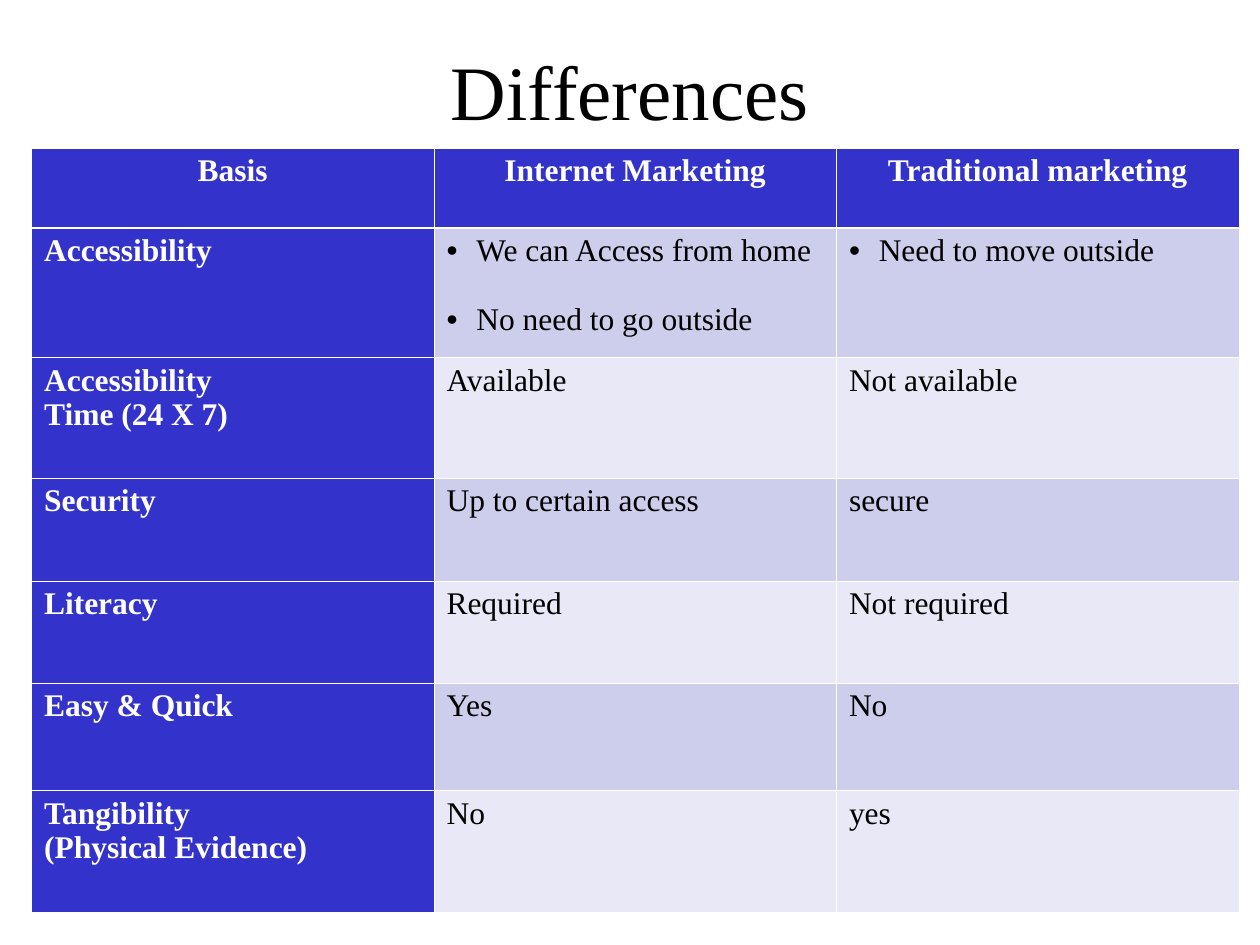
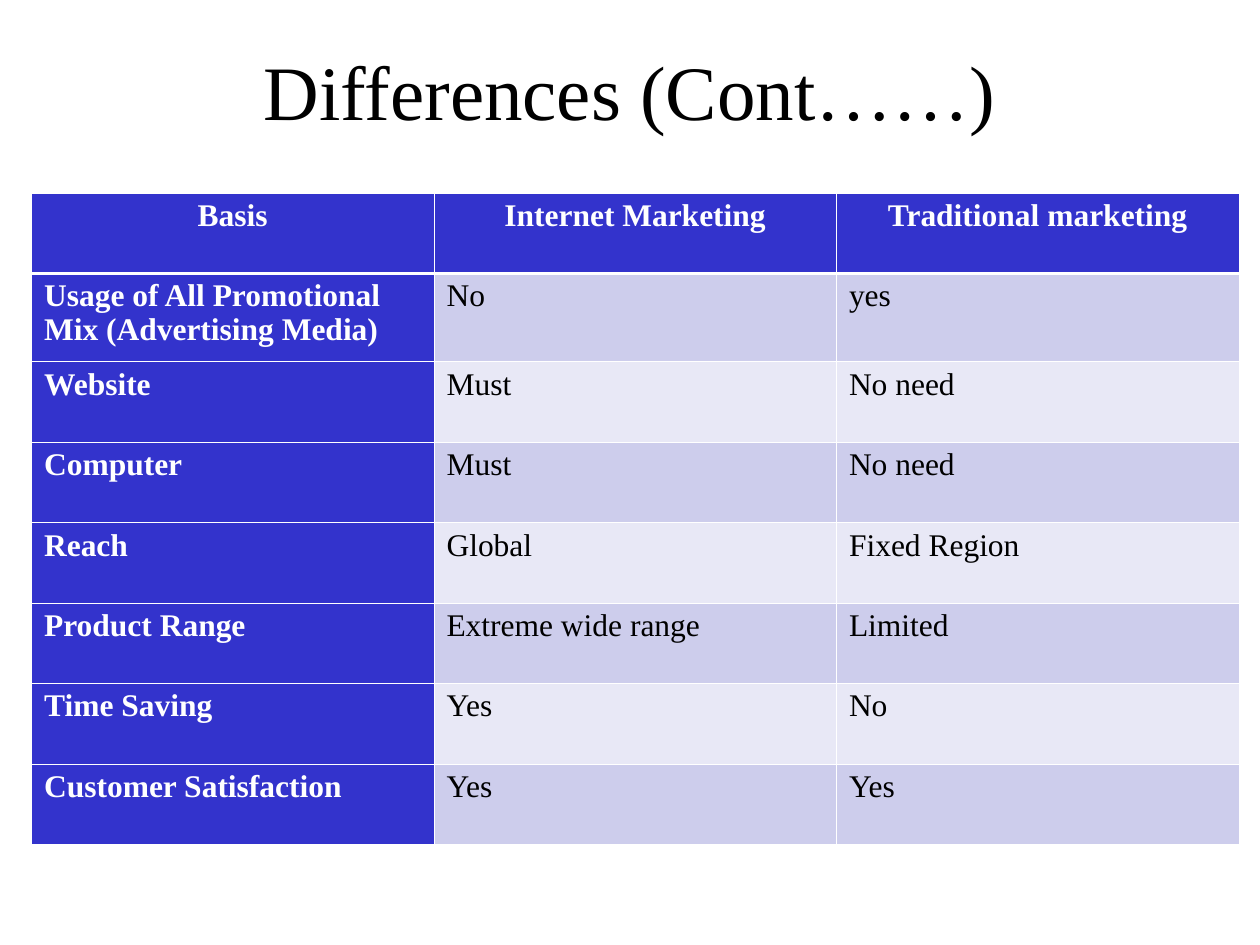
from lxml.etree import SubElement
from pptx import Presentation
from pptx.dml.color import RGBColor
from pptx.enum.text import MSO_ANCHOR as Anchor, MSO_AUTO_SIZE as AutoSize, PP_ALIGN as Align
from pptx.oxml.ns import qn
from pptx.util import Pt

# Shared style
FONT = "Times New Roman"
BLACK, WHITE, BLUE = "000000", "FFFFFF", "3333CC"
BANDS = ("CDCDEC", "E8E8F6")
THIN, THICK = 0.45, 1.47
TITLE_ONLY = 5
HEADINGS = ("Basis", "Internet Marketing", "Traditional marketing")

# Table contents: a tuple in a cell is a bulleted list
BASIC_ROWS = [
    ("Accessibility", ("We can Access from home", "No need to go outside"), ("Need to move outside",)),
    ("Accessibility\nTime (24 X 7)", "Available", "Not available"),
    ("Security", "Up to certain access", "secure"),
    ("Literacy", "Required", "Not required"),
    ("Easy & Quick", "Yes", "No"),
    ("Tangibility\n(Physical Evidence)", "No", "yes"),
]
FURTHER_ROWS = [
    ("Usage of All Promotional Mix (Advertising Media)", "No", "yes"),
    ("Website", "Must", "No need"),
    ("Computer", "Must", "No need"),
    ("Reach", "Global", "Fixed Region"),
    ("Product Range", "Extreme wide range", "Limited"),
    ("Time Saving", "Yes", "No"),
    ("Customer Satisfaction", "Yes", "Yes"),
]


def color(hex_value):
    return RGBColor.from_string(hex_value)


def apply(target, values):
    for name, value in values.items():
        setattr(target, name, value)


class Deck:
    """Holds the presentation style and the current slide."""

    def __init__(self):
        self.presentation = Presentation()
        apply(self.presentation, {"slide_width": Pt(720), "slide_height": Pt(540)})
        self.slide = None

    def add_slide(self, title):
        layout = self.presentation.slide_layouts[TITLE_ONLY]
        self.slide = self.presentation.slides.add_slide(layout)
        shape = self.slide.shapes.title
        apply(shape, {"left": Pt(54), "top": Pt(18), "width": Pt(612), "height": Pt(66)})
        apply(shape.text_frame, {"auto_size": AutoSize.NONE, "vertical_anchor": Anchor.MIDDLE, "word_wrap": True})
        paragraph = shape.text_frame.paragraphs[0]
        paragraph.alignment = Align.CENTER
        self.add_run(paragraph, title, BLACK, 44)

    def add_run(self, paragraph, text, text_color, size=18, bold=False):
        run = paragraph.add_run()
        run.text = text
        apply(run.font, {"name": FONT, "size": Pt(size), "bold": bold})
        run.font.color.rgb = color(text_color)

    def add_bullet(self, paragraph):
        properties = paragraph._p.get_or_add_pPr()
        properties.set("marL", str(Pt(17)))
        properties.set("indent", str(-Pt(17)))
        bullet_color = SubElement(properties, qn("a:buClr"))
        SubElement(bullet_color, qn("a:srgbClr"), val=BLACK)
        SubElement(properties, qn("a:buFont"), typeface="Arial")
        SubElement(properties, qn("a:buChar"), char="•")

    def add_borders(self, cell, top, bottom):
        properties = cell._tc.get_or_add_tcPr()
        for side, width in (("L", THIN), ("R", THIN), ("T", top), ("B", bottom)):
            line = SubElement(properties, qn(f"a:ln{side}"), w=str(Pt(width)))
            fill = SubElement(line, qn("a:solidFill"))
            SubElement(fill, qn("a:srgbClr"), val=WHITE)

    def fill_cell(self, cell, content, row, column):
        is_header = row == 0
        is_label = is_header or column == 0
        self.add_borders(cell, THICK if row == 1 else THIN, THICK if is_header else THIN)
        apply(cell, {"margin_left": Pt(7.2), "margin_right": Pt(7.2), "margin_top": Pt(3.6),
                     "margin_bottom": Pt(3.6), "vertical_anchor": Anchor.TOP})
        cell.fill.solid()
        cell.fill.fore_color.rgb = color(BLUE if is_label else BANDS[(row - 1) % 2])

        is_list = isinstance(content, tuple)
        lines = content if is_list else content.split("\n")
        for index, text in enumerate(lines):
            paragraph = cell.text_frame.add_paragraph() if index else cell.text_frame.paragraphs[0]
            apply(paragraph, {"alignment": Align.CENTER if is_header else Align.LEFT, "line_spacing": 0.97})
            if is_list:
                if index:
                    paragraph.space_before = Pt(20)
                self.add_bullet(paragraph)
            self.add_run(paragraph, text, WHITE if is_label else BLACK, bold=is_label)

    def add_table(self, top, rows, heights):
        contents = [HEADINGS, *rows]
        frame = self.slide.shapes.add_table(
            len(contents), len(HEADINGS), Pt(18), Pt(top), Pt(690), Pt(sum(heights)))
        table = frame.table
        apply(table, {"first_row": False, "horz_banding": False})
        for column in table.columns:
            column.width = Pt(230)
        for row, (values, height) in enumerate(zip(contents, heights)):
            table.rows[row].height = Pt(height)
            for column, content in enumerate(values):
                self.fill_cell(table.cell(row, column), content, row, column)


def main():
    deck = Deck()

    # Basic differences
    deck.add_slide("Differences")
    deck.add_table(84.5, BASIC_ROWS, [46, 74, 69, 58.5, 58.5, 61.5, 69.5])

    # Further differences
    deck.add_slide("Differences (Cont……)")
    deck.add_table(110.25, FURTHER_ROWS, [46, 50.5] + [46] * 6)

    deck.presentation.save("out.pptx")


if __name__ == "__main__":
    main()
